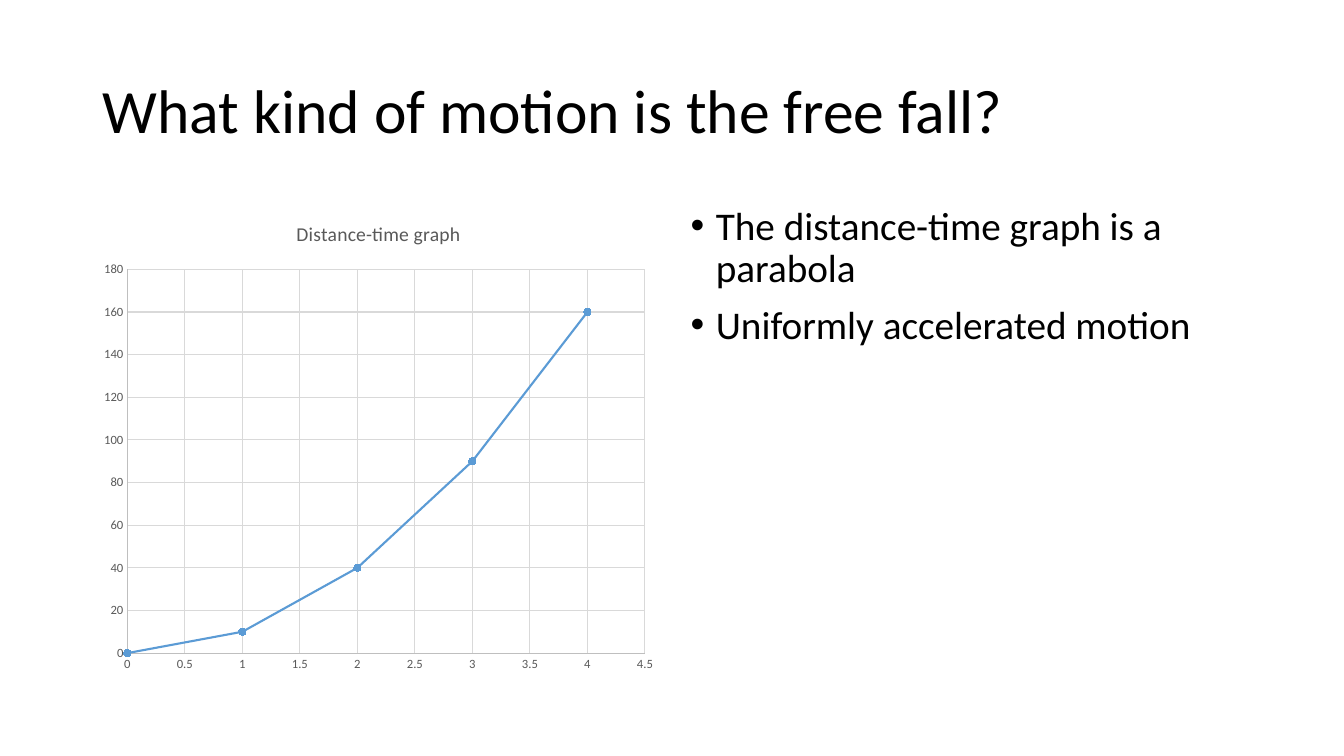
import pptx
import pptx.chart.data
import pptx.dml.color
import pptx.enum.chart
import pptx.enum.text
import pptx.util

Inches = pptx.util.Inches
Pt = pptx.util.Pt

COLORS = {
    "text": "000000",
    "label": "595959",
    "axis": "BFBFBF",
    "grid": "D9D9D9",
    "series": "5B9BD5",
}


class SlideBuilder:
    font_name = "Calibri"

    def __init__(self, prs):
        self.s = prs.slides.add_slide(prs.slide_layouts[1])

    def color(self, name):
        return pptx.dml.color.RGBColor.from_string(COLORS[name])

    def style_font(self, font, size, color):
        font.name = self.font_name
        font.size = Pt(size)
        font.bold = False
        font.color.rgb = self.color(color)

    def style_line(self, line, color, width):
        line.color.rgb = self.color(color)
        line.width = Pt(width)

    def place(self, sp, left, top, width, height, anchor):
        sp.left, sp.top = Inches(left), Inches(top)
        sp.width, sp.height = Inches(width), Inches(height)
        tf = sp.text_frame
        tf.word_wrap = True
        tf.auto_size = pptx.enum.text.MSO_AUTO_SIZE.NONE
        tf.vertical_anchor = anchor
        return tf

    def add_text(self, p, text, size, space_before):
        p.alignment = pptx.enum.text.PP_ALIGN.LEFT
        p.line_spacing = 0.9
        p.space_before = Pt(space_before)
        r = p.add_run()
        r.text = text
        self.style_font(r.font, size, "text")

    def title(self, text, *box):
        tf = self.place(self.s.shapes.title, *box, pptx.enum.text.MSO_ANCHOR.MIDDLE)
        self.add_text(tf.paragraphs[0], text, 44, 0)

    def bullets(self, items, *box):
        tf = self.place(self.s.placeholders[1], *box, pptx.enum.text.MSO_ANCHOR.TOP)
        for i, item in enumerate(items):
            p = tf.add_paragraph() if i else tf.paragraphs[0]
            self.add_text(p, item, 28, 10)
            pPr = p._p.get_or_add_pPr()
            pPr.set("marL", str(Inches(0.25)))
            pPr.set("indent", str(Inches(-0.25)))

    def axis(self, axis, maximum, step):
        axis.minimum_scale = 0
        axis.maximum_scale = maximum
        axis.major_unit = step
        axis.has_major_gridlines = True
        axis.major_tick_mark = pptx.enum.chart.XL_TICK_MARK.NONE
        axis.minor_tick_mark = pptx.enum.chart.XL_TICK_MARK.NONE
        self.style_font(axis.tick_labels.font, 9, "label")
        self.style_line(axis.format.line, "axis", 0.75)
        self.style_line(axis.major_gridlines.format.line, "grid", 0.75)

    def scatter(self, title, points, left, top, width, height):
        data = pptx.chart.data.XyChartData()
        series = data.add_series("Series 1")
        for x, y in points:
            series.add_data_point(x, y)
        chart = self.s.shapes.add_chart(
            pptx.enum.chart.XL_CHART_TYPE.XY_SCATTER_LINES,
            Inches(left), Inches(top), Inches(width), Inches(height), data,
        ).chart
        self.style_font(chart.font, 10, "text")
        chart.has_legend = False
        chart.has_title = True
        r = chart.chart_title.text_frame.paragraphs[0].add_run()
        r.text = title
        self.style_font(r.font, 14, "label")
        self.axis(chart.category_axis, 4.5, 0.5)
        self.axis(chart.value_axis, 180, 20)
        plot = chart.plots[0]
        plot.vary_by_categories = False
        curve = plot.series[0]
        curve.smooth = False
        self.style_line(curve.format.line, "series", 1.5)
        marker = curve.marker
        marker.style = pptx.enum.chart.XL_MARKER_STYLE.CIRCLE
        marker.size = 5
        marker.format.fill.solid()
        marker.format.fill.fore_color.rgb = self.color("series")
        self.style_line(marker.format.line, "series", 0.75)


def main():
    prs = pptx.Presentation()
    prs.slide_width = Inches(13.33)
    prs.slide_height = Inches(7.5)
    slide = SlideBuilder(prs)
    slide.title("What kind of motion is the free fall?", 0.92, 0.4, 11.5, 1.45)
    slide.bullets(
        ["The distance-time graph is a parabola", "Uniformly accelerated motion"],
        6.75, 2, 5.67, 4.76,
    )
    fall = [(t, 10 * t ** 2) for t in range(5)]
    slide.scatter("Distance-time graph", fall, 0.92, 2, 5.67, 4.76)
    prs.save("out.pptx")


if __name__ == "__main__":
    main()
